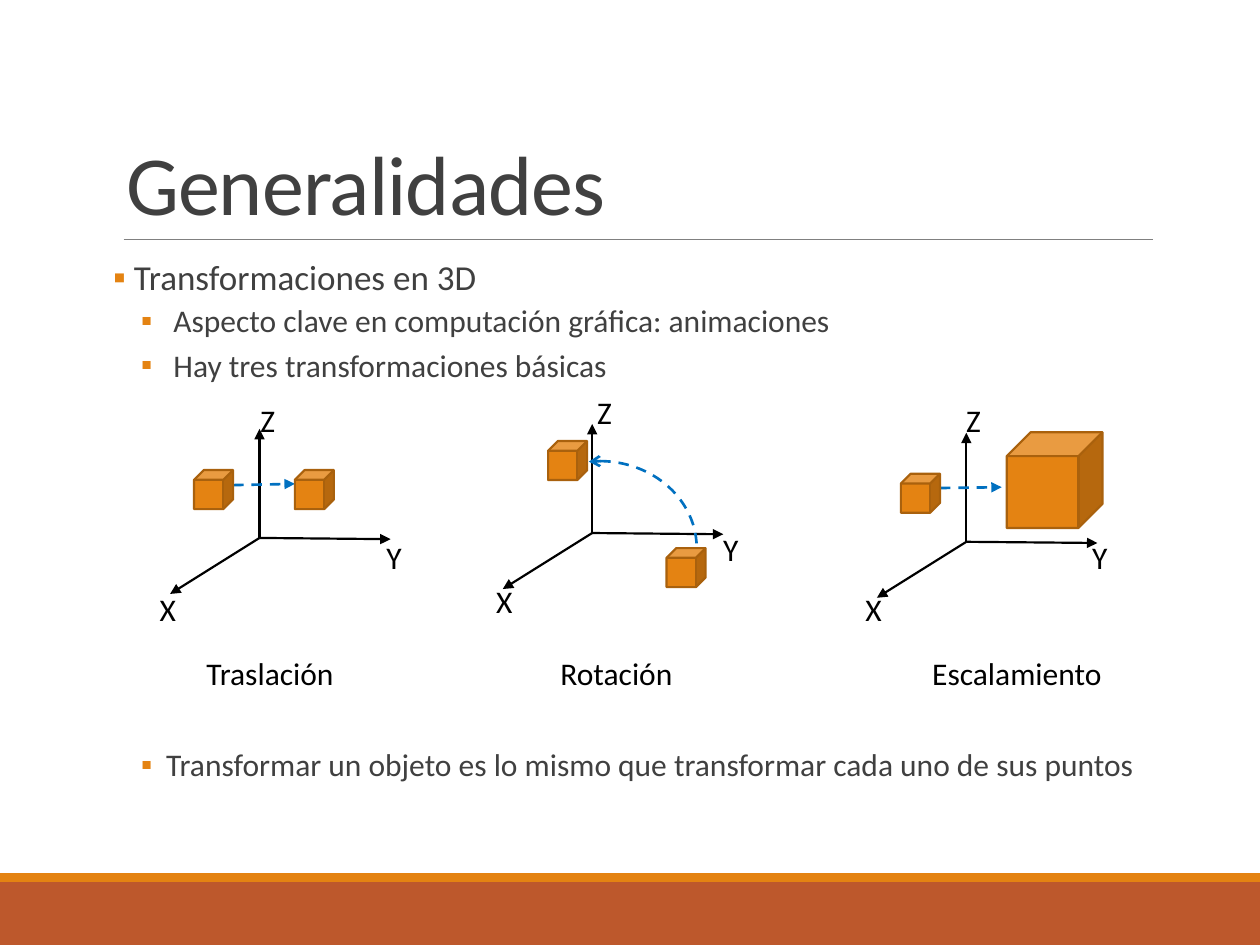
from lxml import etree
from pptx import Presentation
from pptx.dml.color import RGBColor
from pptx.enum.dml import MSO_LINE
from pptx.enum.shapes import MSO_CONNECTOR, MSO_SHAPE
from pptx.enum.text import MSO_ANCHOR, MSO_AUTO_SIZE, PP_ALIGN
from pptx.oxml.ns import qn
from pptx.util import Pt

RECTANGLE, CUBE, ARC = MSO_SHAPE.RECTANGLE, MSO_SHAPE.CUBE, MSO_SHAPE.ARC
STRAIGHT = MSO_CONNECTOR.STRAIGHT
DASH = MSO_LINE.DASH
BOTTOM = MSO_ANCHOR.BOTTOM
LEFT = PP_ALIGN.LEFT
NO_FIT, GROW = MSO_AUTO_SIZE.NONE, MSO_AUTO_SIZE.SHAPE_TO_FIT_TEXT

FONT = "Calibri"
BLACK, GREY, BLUE = "000000", "404040", "0070C0"
ORANGE, DARK_ORANGE, RUST = "E48312", "A9610D", "BD582C"


def color(hex_value):
    return RGBColor.from_string(hex_value)


def write(para, text, size=18, ink=BLACK):
    span = para.add_run()
    span.text = text
    span.font.name = FONT
    span.font.size = Pt(size)
    span.font.color.rgb = color(ink)
    return span


deck = Presentation()
deck.slide_width, deck.slide_height = Pt(720), Pt(540)
page = deck.slides.add_slide(deck.slide_layouts[5])
shapes = page.shapes

# Footer bands
for top, height, fill in [(504, 36, RUST), (499, 5, ORANGE)]:
    band = shapes.add_shape(RECTANGLE, Pt(0), Pt(top), Pt(720), Pt(height))
    band.shadow.inherit = False
    band.fill.solid()
    band.fill.fore_color.rgb = color(fill)
    band.line.fill.background()

# Title
title = shapes.title
title.left, title.top, title.width, title.height = Pt(64.8), Pt(22.3), Pt(594), Pt(114.5)
title.text_frame.vertical_anchor = BOTTOM
title.text_frame.auto_size = NO_FIT
para = title.text_frame.paragraphs[0]
para.alignment = LEFT
para.line_spacing = 0.85
span = write(para, "Generalidades", size=48, ink=GREY)
span.font._element.set("spc", "-50")

# Bullets: text, level, size, left margin, hanging indent, space before, space after
bullets = [
    ("Transformaciones en 3D", 0, 20, 11.7, 11.7, 0, 2),
    ("Aspecto clave en computación gráfica: animaciones", 1, 18, 34.3, 18.5, 2, 4),
    ("Hay tres transformaciones básicas", 1, 18, 34.3, 18.5, 2, 4),
    ("Transformar un objeto es lo mismo que transformar cada uno de sus puntos",
     1, 18, 30.2, 14.4, 205, 4),
]
body = shapes.add_textbox(Pt(64.8), Pt(145.4), Pt(594), Pt(316.8)).text_frame
body.word_wrap = True
body.margin_left = body.margin_right = Pt(0)
for index, (text, level, size, margin, hanging, before, after) in enumerate(bullets):
    para = body.add_paragraph() if index else body.paragraphs[0]
    para.level = level
    para.line_spacing = 0.9
    para.space_before, para.space_after = Pt(before), Pt(after)
    properties = para._p.get_or_add_pPr()
    properties.set("marL", str(Pt(margin)))
    properties.set("indent", str(-Pt(hanging)))
    bullet_color = etree.SubElement(properties, qn("a:buClr"))
    etree.SubElement(bullet_color, qn("a:srgbClr"), val=ORANGE)
    etree.SubElement(properties, qn("a:buFont"), typeface=FONT)
    etree.SubElement(properties, qn("a:buChar"), char="▪")
    write(para, text, size=size, ink=GREY)

# Diagrams: cubes are (left, top, size), captions are (text, left, width)
diagrams = [
    {"origin": (148.3, 307.4), "x_label": (84.2, 333.4),
     "cubes": [(110.9, 268.6, 22.3), (168.5, 268.6, 22.3)],
     "move": (133.2, 277.2, 168.5, 276.5), "caption": ("Traslación", 110.9, 88)},
    {"origin": (338.4, 304.6), "x_label": (276.5, 329),
     "cubes": [(313.2, 252, 22.3), (380.9, 313.2, 22.3)],
     "move": None, "caption": ("Rotación", 313.2, 88)},
    {"origin": (552.2, 309.6), "x_label": (487.4, 333.4),
     "cubes": [(514.8, 270.7, 22.3), (575.3, 247, 54.7)],
     "move": (537.1, 278.9, 572.4, 278.4), "caption": ("Escalamiento", 525.6, 113)},
]
axis_ends = [(-51.1, 32), (74.9, 0.7), (0, -62.3)]
axis_labels = [("X", 0, 0), ("Y", 129.6, -29.5), ("Z", 57.6, -108)]

# Lines: start, end, colour, width, dash, arrowhead
lines = [(70.6, 136.8, 658.8, 136.8, "808080", 0.5, None, None)]
labels = []
for diagram in diagrams:
    x, y = diagram["origin"]
    for dx, dy in axis_ends:
        lines.append((x, y, x + dx, y + dy, BLACK, 1.25, None, "triangle"))
    if diagram["move"]:
        lines.append((*diagram["move"], BLUE, 1.5, DASH, "triangle"))
    label_left, label_top = diagram["x_label"]
    for text, dx, dy in axis_labels:
        labels.append((text, label_left + dx, label_top + dy, 26.6))
    text, left, width = diagram["caption"]
    labels.append((text, left, 370.1, width))

for x1, y1, x2, y2, ink, width, dash, arrow in lines:
    line = shapes.add_connector(STRAIGHT, Pt(x1), Pt(y1), Pt(x2), Pt(y2))
    line.line.color.rgb = color(ink)
    line.line.width = Pt(width)
    if dash:
        line.line.dash_style = dash
    if arrow:
        etree.SubElement(line.line._get_or_add_ln(), qn("a:tailEnd"), type=arrow)
    etree.SubElement(line._element.spPr, qn("a:effectLst"))

# Cubes
for diagram in diagrams:
    for left, top, size in diagram["cubes"]:
        cube = shapes.add_shape(CUBE, Pt(left), Pt(top), Pt(size), Pt(size))
        cube.shadow.inherit = False
        cube.fill.solid()
        cube.fill.fore_color.rgb = color(ORANGE)
        cube.line.color.rgb = color(DARK_ORANGE)
        cube.line.width = Pt(1.25)

# Rotation arc
arc = shapes.add_shape(ARC, Pt(287.3), Pt(263.5), Pt(110.9), Pt(99.4))
arc.adjustments[0], arc.adjustments[1] = 157.72, 1.05
arc.shadow.inherit = False
arc.fill.background()
arc.line.color.rgb = color(BLUE)
arc.line.width = Pt(1.5)
arc.line.dash_style = DASH
etree.SubElement(arc.line._get_or_add_ln(), qn("a:headEnd"), type="arrow")

# Axis labels and captions
for text, left, top, width in labels:
    frame = shapes.add_textbox(Pt(left), Pt(top), Pt(width), Pt(29)).text_frame
    frame.word_wrap = True
    frame.auto_size = GROW
    write(frame.paragraphs[0], text)

deck.save("out.pptx")
